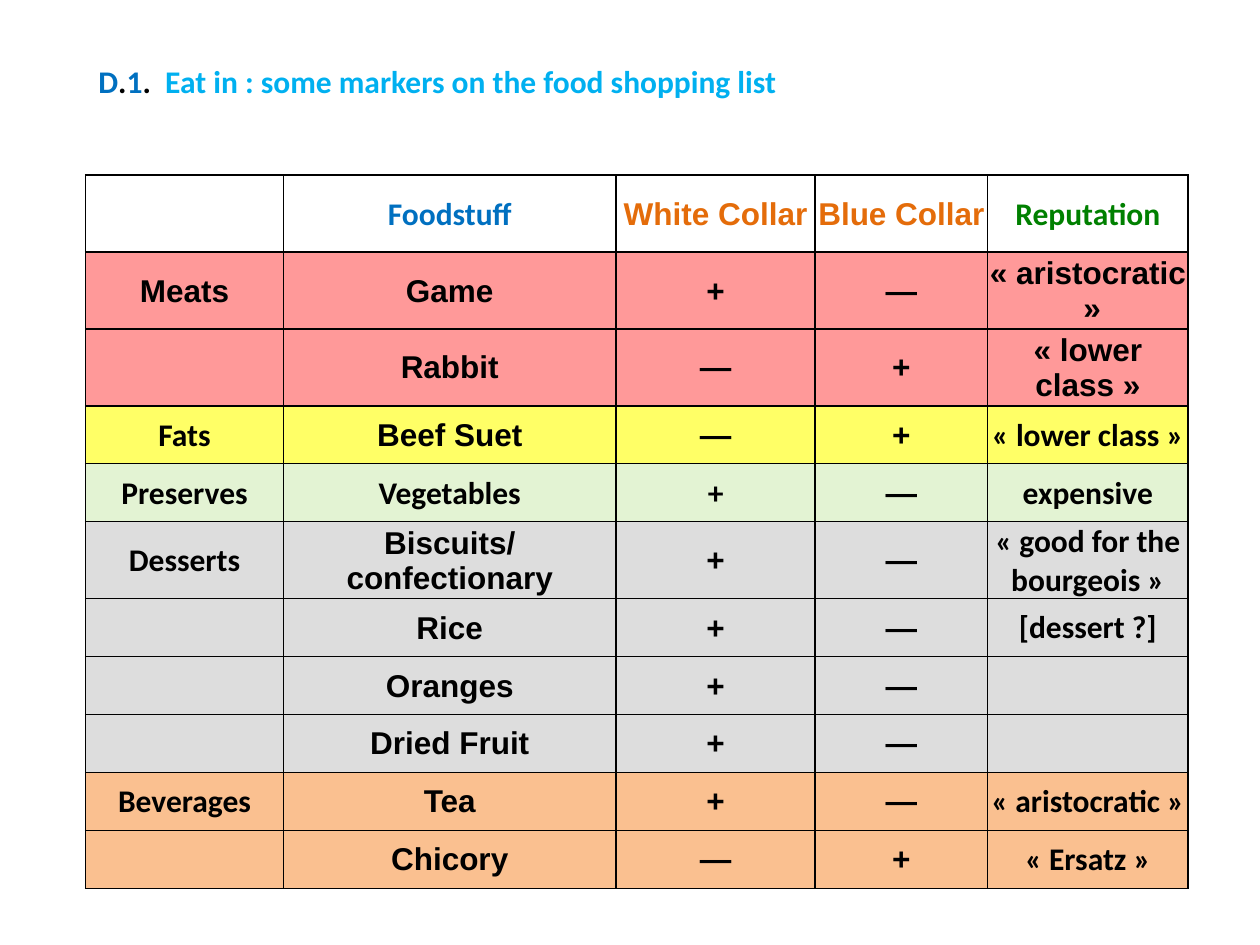
from lxml.etree import SubElement
from pptx import Presentation
from pptx.dml.color import RGBColor
from pptx.enum.text import MSO_ANCHOR, MSO_AUTO_SIZE, PP_ALIGN
from pptx.oxml import parse_xml
from pptx.oxml.ns import nsdecls, qn
from pptx.util import Inches, Pt

COLORS = {
    "black": "000000", "blue": "0070C0", "sky": "00B0F0",
    "orange": "E46C0A", "green": "008000", "meats": "FF9999",
    "fats": "FFFF66", "preserves": "92D050", "desserts": "DDDDDD",
    "beverages": "FAC090",
}
FONTS = {"A": "Arial", "C": "Calibri"}
HEADER_COLORS = ["black", "blue", "orange", "orange", "green"]
PLUS, MINUS = "+", "\u2014"
COLUMN_WIDTHS = [1.57, 2.64, 1.58, 1.37, 1.59]
TALL, SHORT = 0.61, 0.46

# Group, row height, one font letter per column, cell texts
FOOD_ROWS = [
    ("header", TALL, "CCAAC",
     ["", "Foodstuff", "White Collar", "Blue Collar", "Reputation"]),
    ("meats", TALL, "AAAAA",
     ["Meats", "Game", PLUS, MINUS, "«\u00a0aristocratic\u00a0»"]),
    ("meats", TALL, "AAAAA",
     ["", "Rabbit", MINUS, PLUS, "«\u00a0lower class\u00a0»"]),
    ("fats", SHORT, "CAAAC",
     ["Fats", "Beef Suet", MINUS, PLUS, "«\u00a0lower class\u00a0»"]),
    ("preserves", SHORT, "CCCAC",
     ["Preserves", "Vegetables", PLUS, MINUS, "expensive"]),
    ("desserts", TALL, "CAAAC",
     ["Desserts", "Biscuits/confectionary", PLUS, MINUS,
      "«\u00a0good for the bourgeois\u00a0»"]),
    ("desserts", SHORT, "CAAAC", ["", "Rice", PLUS, MINUS, "[dessert ?]"]),
    ("desserts", SHORT, "CAAAC", ["", "Oranges", PLUS, MINUS, ""]),
    ("desserts", SHORT, "CAAAC", ["", "Dried Fruit", PLUS, MINUS, ""]),
    ("beverages", SHORT, "CAAAC",
     ["Beverages", "Tea", PLUS, MINUS, "«\u00a0aristocratic\u00a0»"]),
    ("beverages", SHORT, "CAAAC",
     ["", "Chicory", MINUS, PLUS, "«\u00a0Ersatz\u00a0»"]),
]


def add_run(paragraph, text, font, color):
    """Add one bold 18 pt run to a paragraph."""
    run = paragraph.add_run()
    run.text = text
    run.font.name = font
    run.font.size = Pt(18)
    run.font.bold = True
    run.font.color.rgb = RGBColor.from_string(COLORS[color])


def add_borders(cell):
    """Give a cell a 1 pt black line on each side."""
    properties = cell._tc.get_or_add_tcPr()
    for side in ("lnL", "lnR", "lnT", "lnB"):
        properties.append(parse_xml(
            f'<a:{side} {nsdecls("a")} w="{Pt(1)}"><a:solidFill>'
            f'<a:srgbClr val="{COLORS["black"]}"/></a:solidFill></a:{side}>'))


prs = Presentation()
prs.slide_width, prs.slide_height = Inches(10), Inches(7.5)
slide = prs.slides.add_slide(prs.slide_layouts[5])

# Heading
heading = slide.shapes.title
heading.left, heading.top = Inches(0.68), Inches(0.44)
heading.width, heading.height = Inches(5.6), Inches(0.4)
frame = heading.text_frame
frame.word_wrap = False
frame.auto_size = MSO_AUTO_SIZE.SHAPE_TO_FIT_TEXT
frame.vertical_anchor = MSO_ANCHOR.TOP
heading_line = frame.paragraphs[0]
heading_line.alignment = PP_ALIGN.LEFT
for text, color in [
    ("D", "blue"), (".", "black"), ("1", "blue"), (".  ", "black"),
    ("Eat in : some markers on the food shopping list", "sky"),
]:
    add_run(heading_line, text, "Calibri", color)

# Food table
food_table = slide.shapes.add_table(
    len(FOOD_ROWS), len(COLUMN_WIDTHS), Inches(0.68), Inches(1.39),
    Inches(sum(COLUMN_WIDTHS)), Inches(sum(row[1] for row in FOOD_ROWS))).table
food_table.first_row = False
food_table.horz_banding = False
for column, width in zip(food_table.columns, COLUMN_WIDTHS):
    column.width = Inches(width)

for row, (group, height, fonts, texts) in zip(food_table.rows, FOOD_ROWS):
    row.height = Inches(height)
    text_colors = HEADER_COLORS if group == "header" else ["black"] * 5
    for cell, text, font, color in zip(row.cells, texts, fonts, text_colors):
        add_borders(cell)
        cell.vertical_anchor = MSO_ANCHOR.MIDDLE
        cell.margin_left = cell.margin_right = cell.margin_top = Inches(0.01)
        cell.margin_bottom = 0
        if group == "header":
            cell.fill.background()
        else:
            cell.fill.solid()
            cell.fill.fore_color.rgb = RGBColor.from_string(COLORS[group])
        if group == "preserves":
            tint = cell._tc.tcPr.find(qn("a:solidFill")).find(qn("a:srgbClr"))
            SubElement(tint, qn("a:alpha"), val="25000")
        if text:
            paragraph = cell.text_frame.paragraphs[0]
            paragraph.alignment = PP_ALIGN.CENTER
            add_run(paragraph, text, FONTS[font], color)

prs.save("out.pptx")
